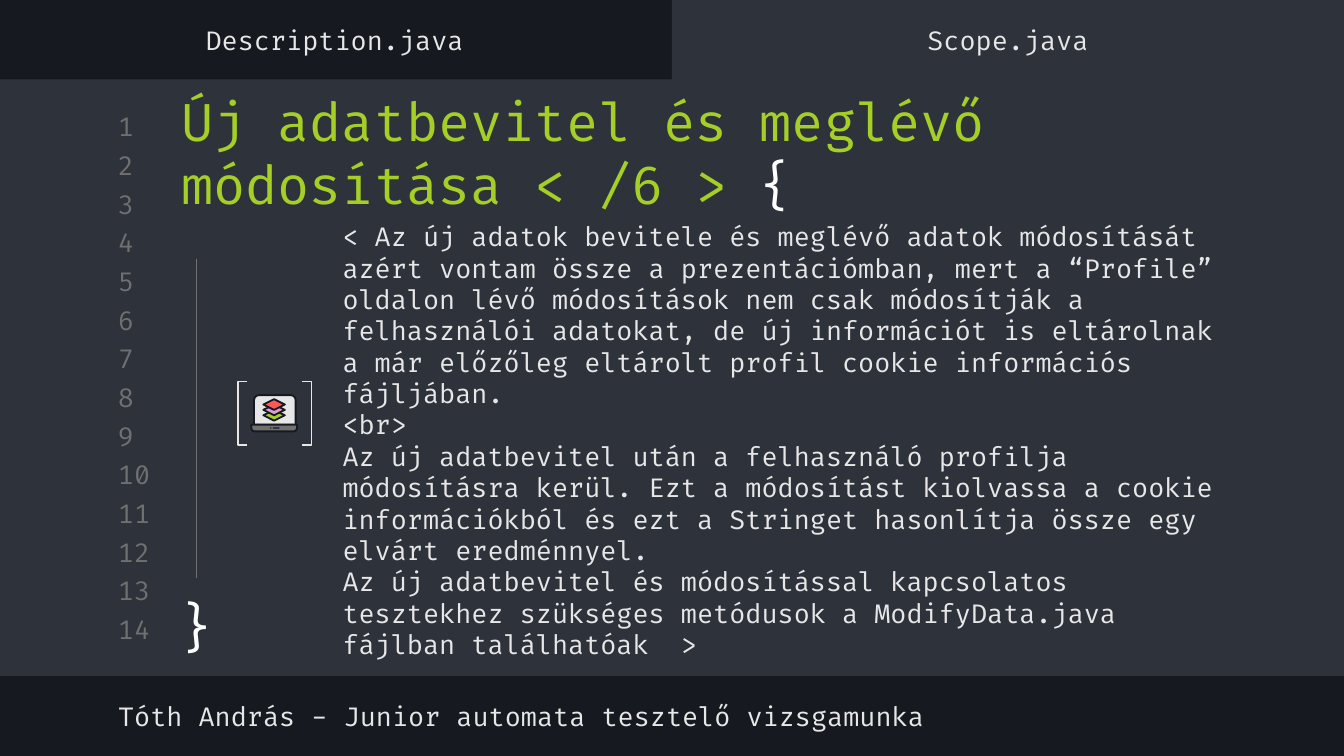
from typing import NamedTuple, Optional

from lxml import etree
from pptx import Presentation
from pptx.dml.color import RGBColor
from pptx.enum.shapes import MSO_CONNECTOR, MSO_SHAPE as Shape
from pptx.enum.text import MSO_ANCHOR as Anchor, PP_ALIGN as Align
from pptx.oxml.ns import qn
from pptx.util import Inches, Pt

DARK = RGBColor(0x16, 0x19, 0x1F)
PANEL = RGBColor(0x2E, 0x32, 0x3B)
GRAY = RGBColor(0x70, 0x70, 0x70)
LIGHT = RGBColor(0xE7, 0xE7, 0xE7)
WHITE = RGBColor(0xFF, 0xFF, 0xFF)
GREEN = RGBColor(0xA5, 0xCF, 0x27)
PINK = RGBColor(0xDB, 0xA0, 0xDB)
RED = RGBColor(0xFF, 0x58, 0x58)
FONT = "Fira Code"

LINE_COUNT = 14
FIRST_LINE, LAST_LINE = 0.82, 4.56

BODY = [
    "< Az új adatok bevitele és meglévő adatok módosítását azért vontam össze "
    "a prezentációmban, mert a “Profile” oldalon lévő módosítások nem csak "
    "módosítják a felhasználói adatokat, de új információt is eltárolnak a már "
    "előzőleg eltárolt profil cookie információs fájljában.",
    "<br>",
    "Az új adatbevitel után a felhasználó profilja módosításra kerül. Ezt a "
    "módosítást kiolvassa a cookie információkból és ezt a Stringet hasonlítja "
    "össze egy elvárt eredménnyel.",
    "Az új adatbevitel és módosítással kapcsolatos tesztekhez szükséges "
    "metódusok a ModifyData.java fájlban találhatóak  >",
]


class Box(NamedTuple):
    left: float
    top: float
    width: float
    height: float

    def lengths(self) -> list:
        return [Inches(v) for v in self]


class Part(NamedTuple):
    kind: Shape
    box: Box
    fill: Optional[RGBColor] = None
    line: Optional[RGBColor] = None
    weight: float = 0.75
    adjust: Optional[float] = None
    rotation: int = 0


def add_part(s, part: Part):
    sp = s.shapes.add_shape(part.kind, *part.box.lengths())
    sp.shadow.inherit = False
    sp.rotation = part.rotation
    if part.adjust is not None:
        sp.adjustments[0] = part.adjust
    if part.fill is None:
        sp.fill.background()
    else:
        sp.fill.solid()
        sp.fill.fore_color.rgb = part.fill
    if part.line is None:
        sp.line.fill.background()
    else:
        sp.line.color.rgb = part.line
        sp.line.width = Pt(part.weight)
    return sp


def add_text(s, box: Box, *paragraphs, size=14, color=LIGHT,
             align=Align.LEFT, anchor=Anchor.MIDDLE):
    """Each paragraph is a string or a list of (text, colour) runs."""
    sp = s.shapes.add_textbox(*box.lengths())
    tf = sp.text_frame
    tf.word_wrap = True
    tf.vertical_anchor = anchor
    tf.margin_left = tf.margin_right = Inches(0.1)
    tf.margin_top = tf.margin_bottom = Inches(0.1)
    for i, content in enumerate(paragraphs):
        p = tf.add_paragraph() if i else tf.paragraphs[0]
        p.alignment = align
        runs = [(content, color)] if isinstance(content, str) else content
        for text, run_color in runs:
            r = p.add_run()
            r.text = text
            r.font.name = FONT
            r.font.size = Pt(size)
            r.font.color.rgb = run_color
    return sp


def add_vertical_line(s, x: float, top: float, bottom: float, color: RGBColor):
    line = s.shapes.add_connector(MSO_CONNECTOR.STRAIGHT, Inches(x), Inches(top),
                                  Inches(x), Inches(bottom))
    line.line.color.rgb = color
    line.line.width = Pt(0.75)
    etree.SubElement(line._element.spPr, qn("a:effectLst"))


def add_laptop(s):
    parts = [
        Part(Shape.ROUND_2_SAME_RECTANGLE, Box(1.89, 2.94, 0.31, 0.22), LIGHT, DARK, 1),
        Part(Shape.ROUND_2_SAME_RECTANGLE, Box(1.87, 3.16, 0.34, 0.05), GRAY, DARK, 1,
             adjust=0.5, rotation=180),
        Part(Shape.OVAL, Box(2.01, 3.18, 0.01, 0.01), DARK),
        Part(Shape.ROUNDED_RECTANGLE, Box(2.03, 3.18, 0.05, 0.01), DARK, adjust=0.5),
    ]
    # Stacked layers on the screen, lowest first
    parts += [Part(Shape.DIAMOND, Box(1.96, 3.05 - 0.04 * i, 0.16, 0.08), fill, DARK, 1)
              for i, fill in enumerate((GREEN, PINK, RED))]
    for part in parts:
        add_part(s, part)


def main():
    # A 16:9 slide
    prs = Presentation()
    prs.slide_width = Inches(10)
    prs.slide_height = Inches(10 * 9 / 16)
    s = prs.slides.add_slide(prs.slide_layouts[6])
    s.background.fill.solid()
    s.background.fill.fore_color.rgb = DARK

    # Editor panel and active tab
    add_part(s, Part(Shape.RECTANGLE, Box(0, 0.59, 10, 4.44), PANEL))
    add_part(s, Part(Shape.RECTANGLE, Box(5, 0, 5, 0.65), PANEL))

    # Line numbers
    pitch = (LAST_LINE - FIRST_LINE) / (LINE_COUNT - 1)
    for i in range(LINE_COUNT):
        add_text(s, Box(0.78, FIRST_LINE + i * pitch, 0.47, 0.24), str(i + 1), color=GRAY)

    # Body and title
    add_text(s, Box(2.45, 1.65, 6.75, 3.25), *BODY)
    add_text(s, Box(1.25, 0.68, 7.99, 0.9),
             [("Új adatbevitel és meglévő módosítása < /6 > ", GREEN), ("{", WHITE)],
             size=28)

    # Laptop icon in brackets
    add_laptop(s)
    for kind, left in ((Shape.LEFT_BRACKET, 1.77), (Shape.RIGHT_BRACKET, 2.25)):
        add_part(s, Part(kind, Box(left, 2.84, 0.07, 0.47), line=LIGHT, adjust=0))

    # Footer and tab names
    add_text(s, Box(0.78, 5.13, 8.25, 0.39),
             "Tóth András - Junior automata tesztelő vizsgamunka")
    for left, name in ((-0.01, "Description.java"), (5, "Scope.java")):
        add_text(s, Box(left, 0.1, 5, 0.39), name, align=Align.CENTER)

    # Code block guide and closing brace
    add_vertical_line(s, 1.46, 1.93, 4.3, GRAY)
    add_text(s, Box(1.19, 4.32, 0.55, 0.67), "}", size=28, color=WHITE,
             align=Align.CENTER, anchor=Anchor.TOP)

    prs.save("out.pptx")


if __name__ == "__main__":
    main()
